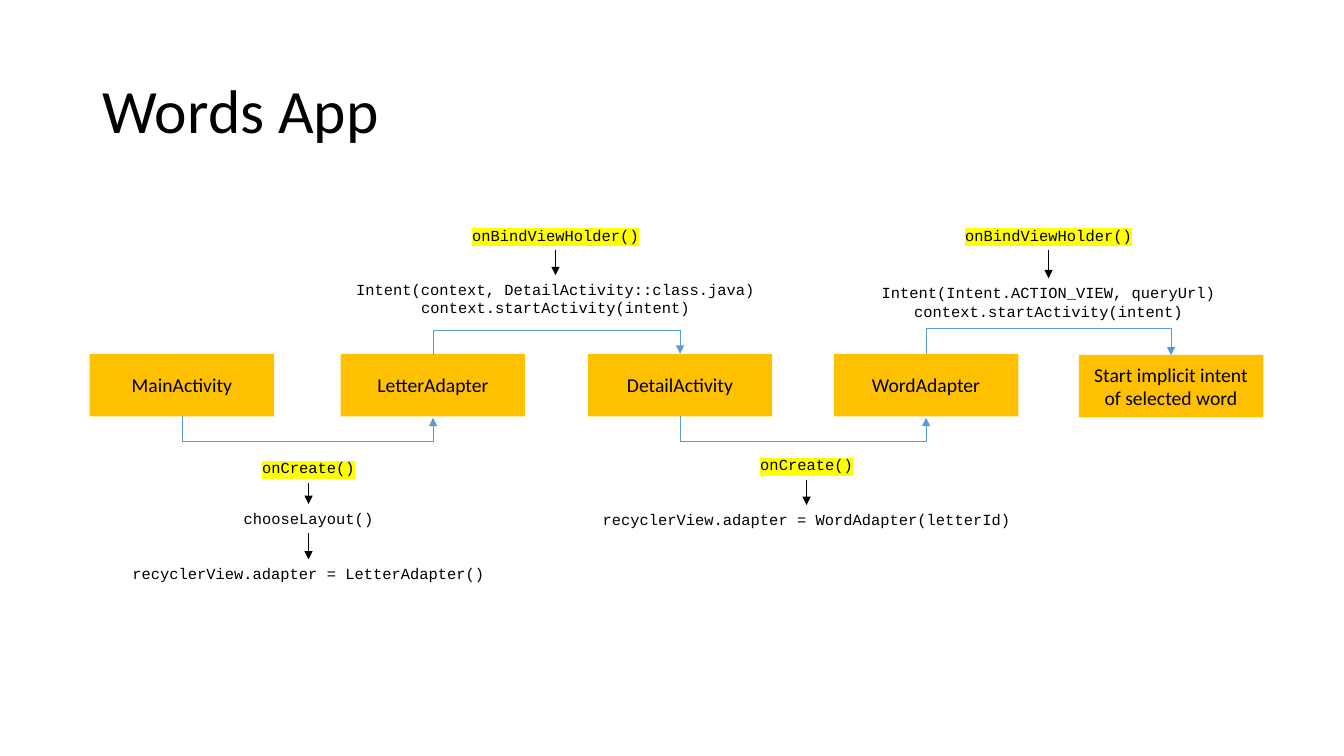
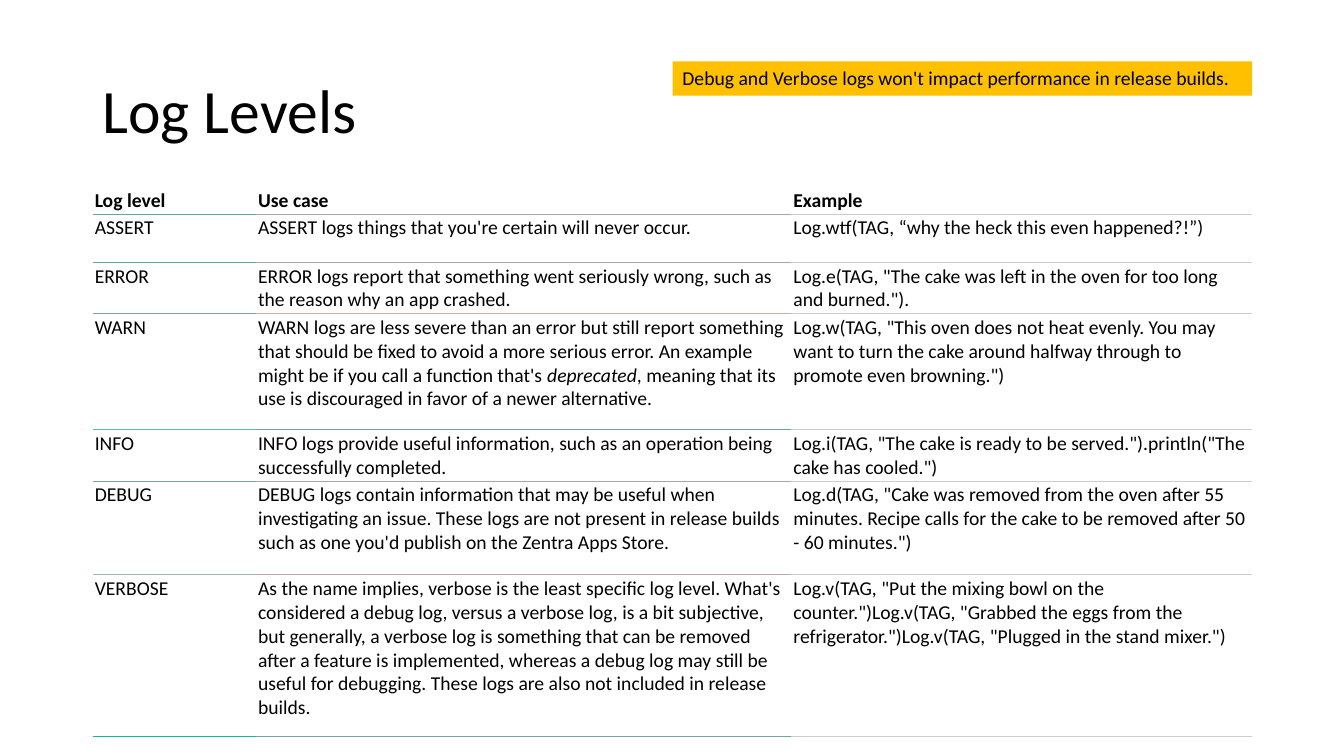
"""Build two slides: a flow of app screens and a table of log levels."""
from itertools import pairwise

from lxml.etree import SubElement
from pptx import Presentation
from pptx.dml.color import RGBColor
from pptx.enum.shapes import MSO_CONNECTOR, MSO_SHAPE
from pptx.enum.text import MSO_ANCHOR, PP_ALIGN
from pptx.oxml.ns import qn
from pptx.util import Inches, Pt

BLACK = RGBColor(0x00, 0x00, 0x00)
WHITE = RGBColor(0xFF, 0xFF, 0xFF)
AMBER = RGBColor(0xFF, 0xC0, 0x00)
BLUE = RGBColor(0x5B, 0x9B, 0xD5)
YELLOW = RGBColor(0xFF, 0xFF, 0x00)
GREY = RGBColor(0xCC, 0xCC, 0xCC)
SANS, MONO = "Calibri", "Courier New"
TOP, BOTTOM = 0, 2

BOX_W, BOX_H = 1.83, 0.62
BOXES = [
    ("MainActivity", 0.89, 3.51),
    ("LetterAdapter", 3.38, 3.51),
    ("DetailActivity", 5.83, 3.51),
    ("WordAdapter", 8.27, 3.51),
    ("Start implicit intent of selected word", 10.7, 3.52),
]
LINKS = [
    (BOTTOM, 270, "h", 18),
    (TOP, 90, "hv", 18),
    (BOTTOM, 270, "h", 18),
    (TOP, 270, "h", -18),
]
CALLS = [
    (3.06, [
        ("onCreate()", 4.5, 2.49),
        ("chooseLayout()", 5, 2.49),
        ("recyclerView.adapter = LetterAdapter()", 5.55, 4.11),
    ]),
    (5.51, [
        ("onBindViewHolder()", 2.19, 2.49),
        ("Intent(context, DetailActivity::class.java)\n"
         "context.startActivity(intent)", 2.73, 4.39),
    ]),
    (8, [
        ("onCreate()", 4.47, 2.49),
        ("recyclerView.adapter = WordAdapter(letterId)", 5.01, 4.89),
    ]),
    (10.4, [
        ("onBindViewHolder()", 2.19, 2.49),
        ("Intent(Intent.ACTION_VIEW, queryUrl)\n"
         "context.startActivity(intent)", 2.76, 3.64),
    ]),
]

NOTE = "Debug and Verbose logs won't impact performance in release builds."
COLS = [1.62, 5.31, 4.57]
HEAD = ("Log level", "Use case", "Example")
LEVELS = [
    ("ASSERT",
     "ASSERT logs things that you're certain will never occur.",
     "Log.wtf(TAG, “why the heck this even happened?!”)"),
    ("ERROR",
     "ERROR logs report that something went seriously wrong, such as the "
     "reason why an app crashed.",
     'Log.e(TAG, "The cake was left in the oven for too long and burned.").'),
    ("WARN",
     "WARN logs are less severe than an error but still report something "
     "that should be fixed to avoid a more serious error. An example might "
     "be if you call a function that's *deprecated*, meaning that its use is "
     "discouraged in favor of a newer alternative.",
     'Log.w(TAG, "This oven does not heat evenly. You may want to turn the '
     'cake around halfway through to promote even browning.")'),
    ("INFO",
     "INFO logs provide useful information, such as an operation being "
     "successfully completed.",
     'Log.i(TAG, "The cake is ready to be served.")'
     '.println("The cake has cooled.")'),
    ("DEBUG",
     "DEBUG logs contain information that may be useful when investigating "
     "an issue. These logs are not present in release builds such as one "
     "you'd publish on the Zentra Apps Store.",
     'Log.d(TAG, "Cake was removed from the oven after 55 minutes. Recipe '
     'calls for the cake to be removed after 50 - 60 minutes.")'),
    ("VERBOSE",
     "As the name implies, verbose is the least specific log level. What's "
     "considered a debug log, versus a verbose log, is a bit subjective, but "
     "generally, a verbose log is something that can be removed after a "
     "feature is implemented, whereas a debug log may still be useful for "
     "debugging. These logs are also not included in release builds.",
     'Log.v(TAG, "Put the mixing bowl on the counter.")'
     'Log.v(TAG, "Grabbed the eggs from the refrigerator.")'
     'Log.v(TAG, "Plugged in the stand mixer.")'),
]
ROWS = [0.27, 0.48, 0.51, 1.15, 0.51, 0.93, 1.6]
RULES = [
    ("60A6A2", "A0A8A2"),
    ("60A6A2", "A0A8A2"),
    ("70A2A2", "D0AEA2"),
    ("50BCA2", "70A2A2"),
    ("70A2A2", "A0A8A2"),
    ("A0BAA2", "C0A9A2"),
    ("10BAA2", "70A2A2"),
]


def write(frame, text, size=14, font=SANS, bold=False, align=PP_ALIGN.LEFT,
          anchor=MSO_ANCHOR.TOP, space=None, mark=None):
    """Fill a text frame; asterisks enclose italic words."""
    frame.word_wrap = True
    frame.vertical_anchor = anchor
    for num, line in enumerate(text.split("\n")):
        para = frame.add_paragraph() if num else frame.paragraphs[0]
        para.alignment = align
        if space:
            para.line_spacing = space
        for part, words in enumerate(line.split("*")):
            run = para.add_run()
            run.text = words
            face = run.font
            face.size, face.name = Pt(size), font
            face.bold, face.italic = bold, part % 2 == 1
            face.color.rgb = BLACK
            if mark:
                props = run._r.get_or_add_rPr()
                light = SubElement(props, qn("a:highlight"))
                SubElement(light, qn("a:srgbClr")).set("val", str(mark))
                props.find(qn("a:solidFill")).addnext(light)


def add_text(slide, text, left, top, width, height, **style):
    """Add a text box."""
    area = slide.shapes.add_textbox(*map(Inches, (left, top, width, height)))
    write(area.text_frame, text, **style)


def add_box(slide, text, left, top, width, height, **style):
    """Add an amber box with text."""
    box = slide.shapes.add_shape(
        MSO_SHAPE.RECTANGLE, *map(Inches, (left, top, width, height)))
    box.shadow.inherit = False
    box.fill.solid()
    box.fill.fore_color.rgb = AMBER
    box.line.fill.background()
    write(box.text_frame, text, **style)
    return box


def add_arrow(slide, kind, start, end, color):
    """Add a thin connector with an arrowhead at its end."""
    arrow = slide.shapes.add_connector(kind, *map(Inches, start + end))
    arrow.line.width = Pt(0.5)
    arrow.line.color.rgb = color
    SubElement(arrow.line._get_or_add_ln(), qn("a:tailEnd")).set(
        "type", "triangle")
    SubElement(arrow._element.spPr, qn("a:effectLst"))
    return arrow


def add_link(slide, first, last, site, turn, flips, bend):
    """Join two boxes by a U-shaped arrow at their tops or bottoms."""
    arrow = add_arrow(slide, MSO_CONNECTOR.ELBOW, (0, 0), (1, 1), BLUE)
    arrow.begin_connect(first, site)
    arrow.end_connect(last, site)
    span = last.left - first.left
    edge = first.top + (first.height if site == BOTTOM else 0)
    thin = Pt(1)
    arrow.left = first.left + (first.width + span - thin) // 2
    arrow.top = edge + (thin - span) // 2
    arrow.width, arrow.height = thin, span
    frame = arrow._element.spPr.find(qn("a:xfrm"))
    frame.set("rot", str(turn * 60000))
    for axis in "hv":
        frame.set("flip" + axis.upper(), str(int(axis in flips)))
    geom = arrow._element.spPr.find(qn("a:prstGeom"))
    guides = geom.find(qn("a:avLst"))
    if guides is None:
        guides = SubElement(geom, qn("a:avLst"))
    guide = SubElement(guides, qn("a:gd"))
    guide.set("name", "adj1")
    guide.set("fmla", f"val {bend * 100000}")


def set_rules(cell, above, below):
    """Draw the rules over and under a cell, and none at its sides."""
    props = cell._tc.get_or_add_tcPr()
    sides = [("L", None), ("R", None), ("T", above), ("B", below)]
    for spot, (side, color) in enumerate(sides):
        rule = SubElement(props, qn("a:ln" + side))
        rule.set("w", str(Pt(0.6)))
        if color:
            fill = SubElement(rule, qn("a:solidFill"))
            SubElement(fill, qn("a:srgbClr")).set("val", str(color))
        else:
            SubElement(rule, qn("a:noFill"))
        props.insert(spot, rule)


def new_slide(deck, title):
    """Add a blank slide with the shared title."""
    slide = deck.slides.add_slide(deck.slide_layouts[6])
    add_text(slide, title, 0.92, 0.4, 11.5, 1.45, size=44, space=0.9,
             anchor=MSO_ANCHOR.MIDDLE)
    return slide


def draw_flow(deck):
    """Draw the boxes, their links and the calls between them."""
    slide = new_slide(deck, "Words App")
    boxes = [add_box(slide, text, left, top, BOX_W, BOX_H,
                     align=PP_ALIGN.CENTER, anchor=MSO_ANCHOR.MIDDLE)
             for text, left, top in BOXES]
    for pair, link in zip(pairwise(boxes), LINKS):
        add_link(slide, *pair, *link)
    for mid, steps in CALLS:
        foot = None
        for text, top, width in steps:
            height = 0.47 if "\n" in text else 0.29
            add_text(slide, text, mid - width / 2, top, width, height,
                     size=11, font=MONO, align=PP_ALIGN.CENTER,
                     mark=None if foot else YELLOW)
            if foot:
                add_arrow(slide, MSO_CONNECTOR.STRAIGHT, (mid, foot),
                          (mid, top), BLACK)
            foot = top + height


def draw_levels(deck):
    """Draw the table of log levels and the note above it."""
    slide = new_slide(deck, "Log Levels")
    table = slide.shapes.add_table(
        len(ROWS), len(COLS),
        *map(Inches, (0.92, 1.85, sum(COLS), sum(ROWS)))).table
    table.first_row = table.horz_banding = False
    for col, width in zip(table.columns, COLS):
        col.width = Inches(width)
    above = [None] * len(COLS)
    for num, texts in enumerate([HEAD] + LEVELS):
        table.rows[num].height = Inches(ROWS[num])
        below = [*RULES[num], GREY]
        for col, text in enumerate(texts):
            cell = table.cell(num, col)
            cell.margin_left = cell.margin_right = Inches(0.02)
            cell.margin_top = cell.margin_bottom = Inches(0.02)
            cell.fill.solid()
            cell.fill.fore_color.rgb = WHITE
            write(cell.text_frame, text, bold=num == 0)
            set_rules(cell, above[col], below[col])
        above = below
    add_box(slide, NOTE, 6.67, 0.61, 5.75, 0.34)


def main():
    """Build and save the deck."""
    deck = Presentation()
    deck.slide_width, deck.slide_height = Inches(13.33), Inches(7.5)
    draw_flow(deck)
    draw_levels(deck)
    deck.save("out.pptx")


if __name__ == "__main__":
    main()
